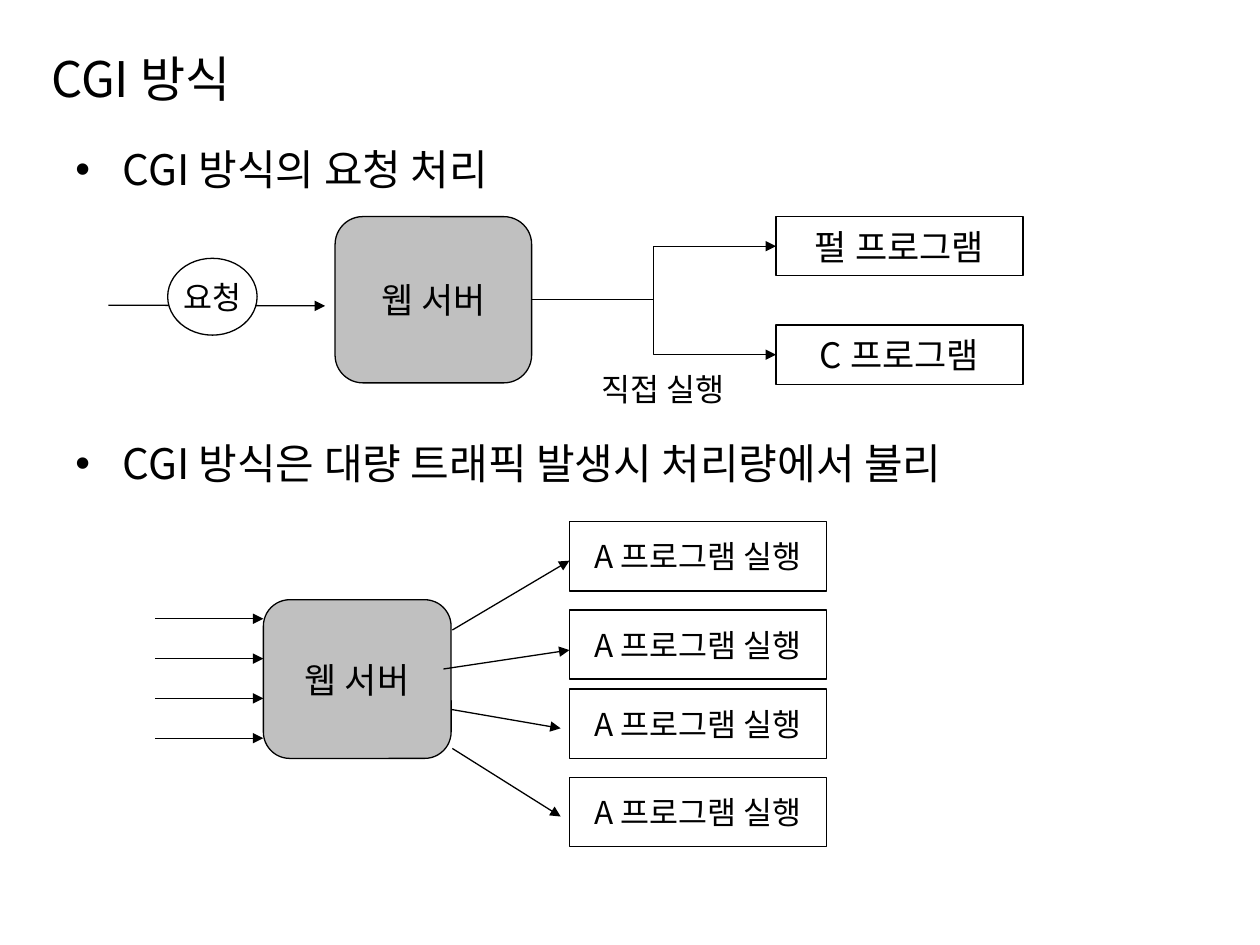
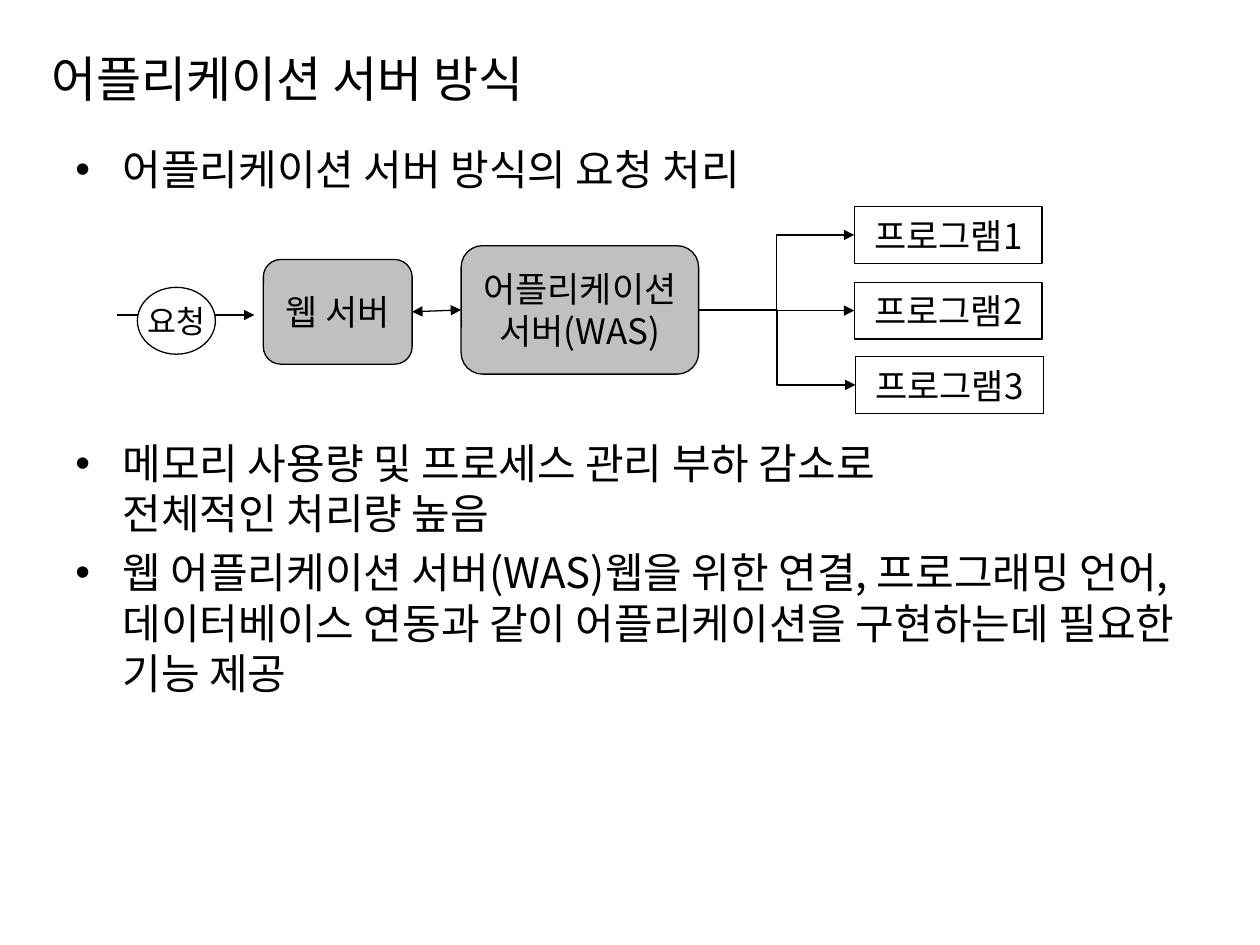
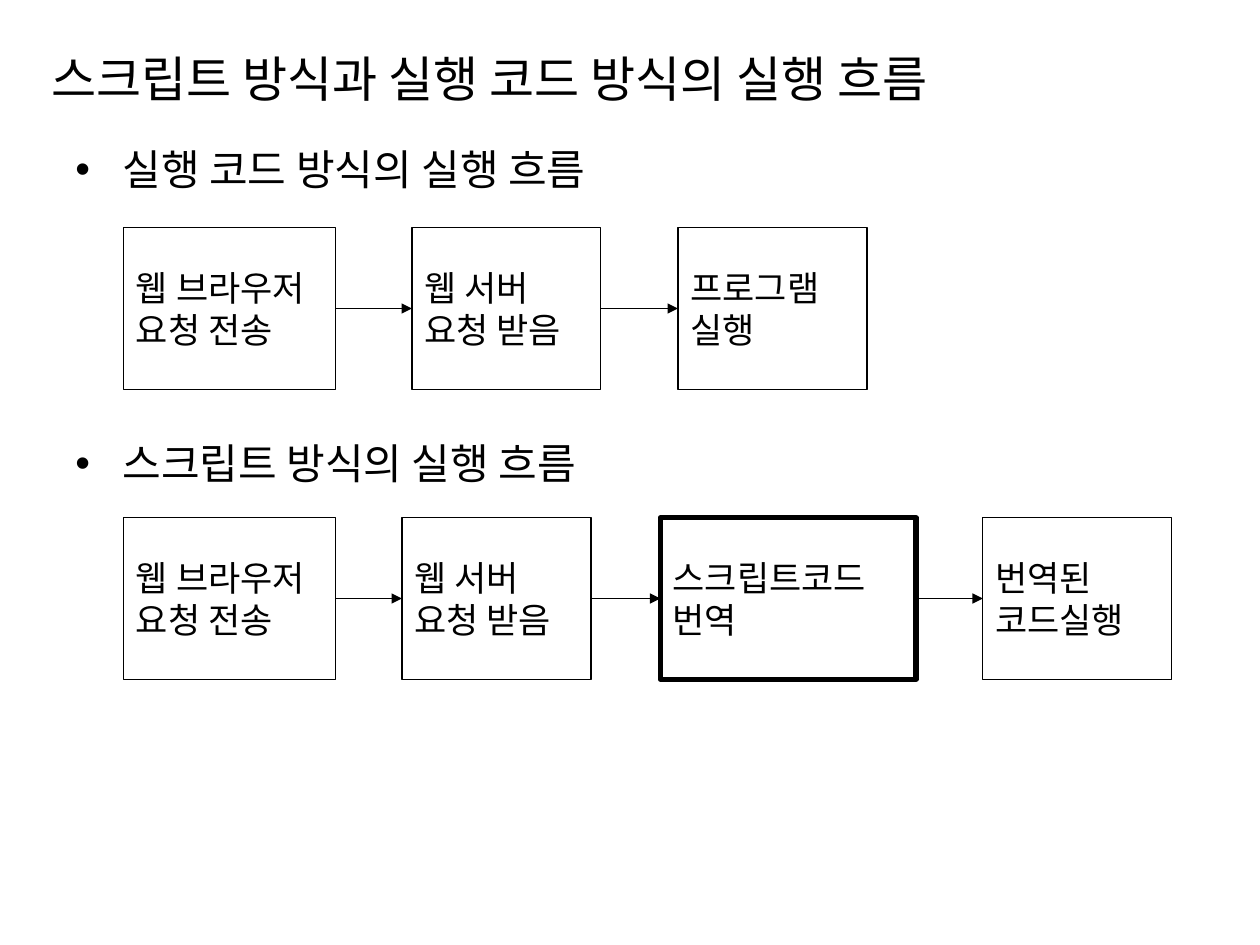
"""Builds three slides on how web servers run programs: CGI, application server and script flows."""
from dataclasses import dataclass

from lxml import etree
from pptx import Presentation
from pptx.dml.color import RGBColor
from pptx.enum import shapes, text
from pptx.oxml import ns
from pptx.util import Pt


@dataclass(frozen=True)
class Theme:
    font: str = "Noto Sans CJK KR"
    ink: RGBColor = RGBColor(0, 0, 0)
    paper: RGBColor = RGBColor(255, 255, 255)
    server: RGBColor = RGBColor(192, 192, 192)
    title: float = 28
    body: float = 24
    box: float = 20
    small: float = 18
    leading: float = 1.2
    thin: float = 0.75
    thick: float = 3
    indent: float = 27


THEME = Theme()
TITLE_AREA = (22.3, 21.6, 680.4, 46.1)
BODY_AREA = (36, 78.5, 648, 403.9)
BULLET_GAP = 4.8
DIAGRAM_GAP = 139.2
KIND = shapes.MSO_SHAPE
LINK = shapes.MSO_CONNECTOR
CENTER, LEFT = text.PP_ALIGN.CENTER, text.PP_ALIGN.LEFT

CGI = {
    "title": "CGI 방식",
    "bullets": ["CGI 방식의 요청 처리", "CGI 방식은 대량 트래픽 발생시 처리량에서 불리"],
    "server": ("웹 서버", (191.5, 123.8, 112.3, 95)),
    "programs": [("펄 프로그램", (443.5, 123.8, 141.1, 33.8)),
                 ("C 프로그램", (443.5, 185.8, 141.1, 33.8))],
    "label": ("직접 실행", (331.9, 208.1, 93.6, 28.8)),
    "request": ("요청", (95.8, 147.6, 51.1, 43.9), (61.9, 174.4, 185.8, 174.8)),
    "busy server": ("웹 서버", (150.5, 342.7, 107.3, 90.7)),
    "job": "A 프로그램 실행",
    "job tops": [298.1, 348.5, 393.8, 444.2],
    "job arrows": [(258.5, 360, 325.4, 320.4), (253.4, 382.3, 325.4, 371.5),
                   (257.8, 405.4, 320.4, 416.2), (258.5, 427.7, 320.4, 466.6)],
}
WAS = {
    "title": "어플리케이션 서버 방식",
    "bullets": ["어플리케이션 서버 방식의 요청 처리",
                "메모리 사용량 및 프로세스 관리 부하 감소로\v전체적인 처리량 높음",
                "웹 어플리케이션 서버(WAS)웹을 위한 연결, 프로그래밍 언어, "
                "데이터베이스 연동과 같이 어플리케이션을 구현하는데 필요한 기능 제공"],
    "server": ("웹 서버", (150.5, 148.3, 85, 59.8)),
    "request": ("요청", (78.5, 164.2, 44.6, 38.2), (67, 180, 145.4, 180)),
    "app server": ("어플리케이션\n서버(WAS)", (263.5, 140.4, 135.7, 73.4)),
    "programs": [("프로그램1", (488.2, 118.1, 107.3, 32.4)),
                 ("프로그램2", (488.2, 161.3, 107.3, 32.4)),
                 ("프로그램3", (488.9, 203.8, 107.3, 32.4))],
}
FLOWS = {
    "title": "스크립트 방식과 실행 코드 방식의 실행 흐름",
    "bullets": ["실행 코드 방식의 실행 흐름", "스크립트 방식의 실행 흐름"],
    "rows": [
        (130.2, [("웹 브라우저\n요청 전송", 70.6, 121, THEME.thin),
                 ("웹 서버\n요청 받음", 235.4, 108, THEME.thin),
                 ("프로그램\n실행", 387.4, 108, THEME.thin)]),
        (295.9, [("웹 브라우저\n요청 전송", 70.6, 121, THEME.thin),
                 ("웹 서버\n요청 받음", 229.7, 108, THEME.thin),
                 ("스크립트코드\n번역", 377.3, 146.2, THEME.thick),
                 ("번역된\n코드실행", 561.6, 108, THEME.thin)]),
    ],
    "height": 92.2,
}


def assign(target, values):
    for name, value in values.items():
        setattr(target, name, value)


def child(parent, tag, **attributes):
    return etree.SubElement(parent, ns.qn(tag), attributes)


def write(frame, paragraphs, size, align=LEFT, anchor=text.MSO_ANCHOR.MIDDLE, wrap=True):
    assign(frame, {"word_wrap": wrap, "vertical_anchor": anchor,
                   "auto_size": text.MSO_AUTO_SIZE.NONE})
    for index, words in enumerate(paragraphs):
        paragraph = frame.paragraphs[0] if index == 0 else frame.add_paragraph()
        paragraph.text = words
        assign(paragraph, {"alignment": align, "line_spacing": Pt(size * THEME.leading),
                           "space_before": Pt(0)})
        for run in paragraph.runs:
            assign(run.font, {"name": THEME.font, "size": Pt(size), "bold": False})
            run.font.color.rgb = THEME.ink
            child(run.font._element, "a:ea", typeface=THEME.font)


def start_slide(deck, content):
    slide = deck.slides.add_slide(deck.slide_layouts[5])
    title = slide.shapes.title
    assign(title, dict(zip(("left", "top", "width", "height"), map(Pt, TITLE_AREA))))
    write(title.text_frame, [content["title"]], THEME.title)
    frame = slide.shapes.add_textbox(*map(Pt, BODY_AREA)).text_frame
    write(frame, content["bullets"], THEME.body, anchor=text.MSO_ANCHOR.TOP)
    for index, paragraph in enumerate(frame.paragraphs):
        paragraph.space_before = Pt(DIAGRAM_GAP if index == 1 else BULLET_GAP)
        properties = paragraph._p.get_or_add_pPr()
        properties.set("marL", str(Pt(THEME.indent)))
        properties.set("indent", str(-Pt(THEME.indent)))
        child(properties, "a:buFont", typeface="Arial")
        child(properties, "a:buChar", char="•")
    return slide


def add_box(slide, words, area, kind=KIND.RECTANGLE, fill=THEME.paper,
            size=THEME.box, align=CENTER, weight=THEME.thin):
    box = slide.shapes.add_shape(kind, *map(Pt, area))
    box.shadow.inherit = False
    box.fill.solid()
    box.fill.fore_color.rgb = fill
    box.line.color.rgb = THEME.ink
    box.line.width = Pt(weight)
    write(box.text_frame, words.split("\n"), size, align, wrap=False)


def add_server(slide, server):
    add_box(slide, *server, kind=KIND.ROUNDED_RECTANGLE, fill=THEME.server)


def add_arrow(slide, ends, kind=LINK.STRAIGHT, both=False):
    arrow = slide.shapes.add_connector(kind, *map(Pt, ends))
    arrow.line.color.rgb = THEME.ink
    arrow.line.width = Pt(THEME.thin)
    line = arrow.line._get_or_add_ln()
    if both:
        child(line, "a:headEnd", type="triangle")
    child(line, "a:tailEnd", type="triangle")
    child(arrow._element.spPr, "a:effectLst")


def add_request(slide, request):
    words, area, ends = request
    add_arrow(slide, ends)
    add_box(slide, words, area, KIND.OVAL, size=THEME.small)


def between(source, target):
    return (source[0] + source[2], source[1] + source[3] / 2,
            target[0], target[1] + target[3] / 2)


def add_programs(slide, source, programs):
    for words, area in programs:
        add_box(slide, words, area)
        add_arrow(slide, between(source, area), LINK.ELBOW)


def build_cgi(deck):
    slide = start_slide(deck, CGI)
    add_server(slide, CGI["server"])
    add_programs(slide, CGI["server"][1], CGI["programs"])
    words, area = CGI["label"]
    label = slide.shapes.add_textbox(*map(Pt, area))
    write(label.text_frame, [words], THEME.small, CENTER, text.MSO_ANCHOR.TOP, False)
    add_request(slide, CGI["request"])
    add_server(slide, CGI["busy server"])
    for index, (top, ends) in enumerate(zip(CGI["job tops"], CGI["job arrows"])):
        y = 353.6 + 22.75 * index
        add_arrow(slide, (88.6, y, CGI["busy server"][1][0], y))
        add_box(slide, CGI["job"], (325.4, top, 146.9, 39.6), size=THEME.small)
        add_arrow(slide, ends)


def build_was(deck):
    slide = start_slide(deck, WAS)
    add_server(slide, WAS["server"])
    add_request(slide, WAS["request"])
    add_server(slide, WAS["app server"])
    add_arrow(slide, between(WAS["server"][1], WAS["app server"][1]), both=True)
    add_programs(slide, WAS["app server"][1], WAS["programs"])


def build_flows(deck):
    slide = start_slide(deck, FLOWS)
    for top, steps in FLOWS["rows"]:
        areas = [(left, top, width, FLOWS["height"]) for _, left, width, _ in steps]
        for (words, _, _, weight), area in zip(steps, areas):
            add_box(slide, words, area, align=LEFT, weight=weight)
        for source, target in zip(areas, areas[1:]):
            add_arrow(slide, between(source, target))


deck = Presentation()
assign(deck, {"slide_width": Pt(720), "slide_height": Pt(540)})
for build in (build_cgi, build_was, build_flows):
    build(deck)
deck.save("out.pptx")
